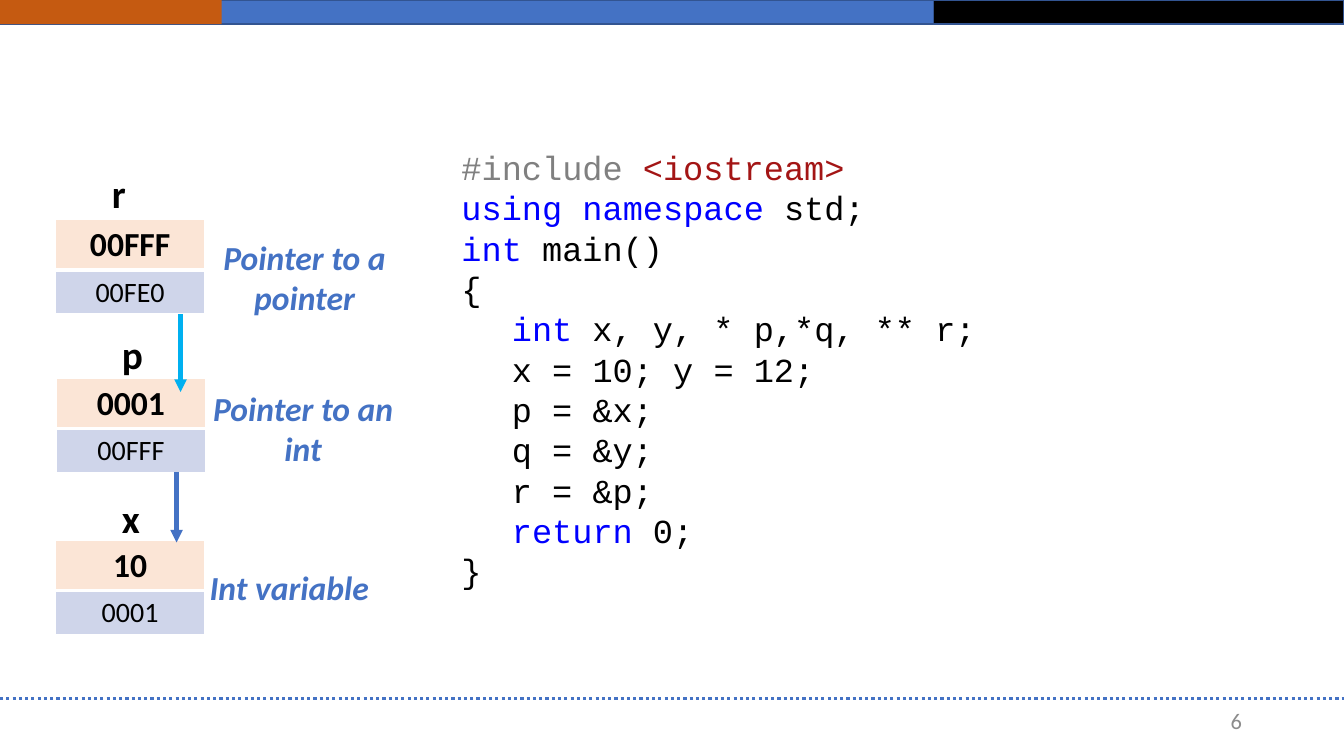
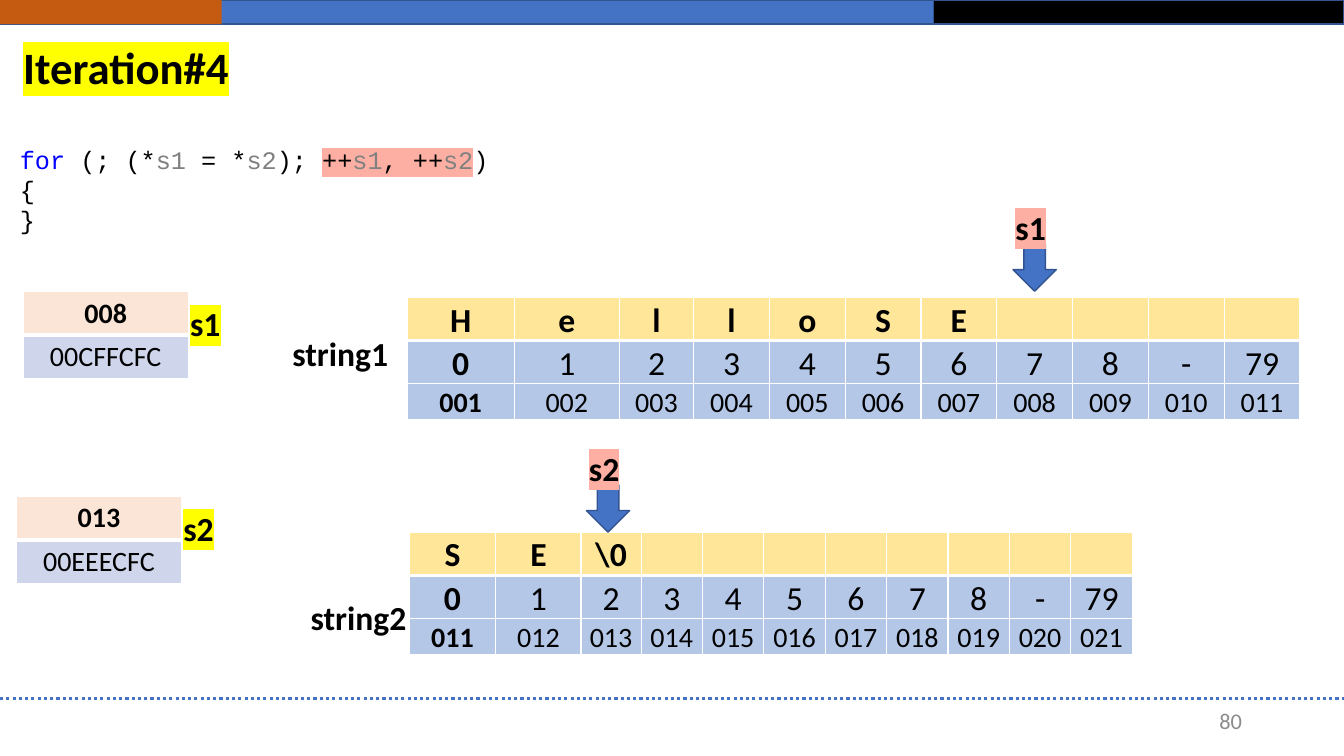
from lxml import etree
from pptx import Presentation
from pptx.dml.color import RGBColor
from pptx.enum.dml import MSO_LINE
from pptx.enum.shapes import MSO_CONNECTOR, MSO_SHAPE
from pptx.enum.text import MSO_ANCHOR, MSO_AUTO_SIZE, PP_ALIGN
from pptx.oxml.ns import qn
from pptx.util import Cm, Pt

LEFT, MID, RIGHT = PP_ALIGN.LEFT, PP_ALIGN.CENTER, PP_ALIGN.RIGHT
MIDDLE = MSO_ANCHOR.MIDDLE
FIXED = MSO_AUTO_SIZE.NONE
RECT, DOWN = MSO_SHAPE.RECTANGLE, MSO_SHAPE.DOWN_ARROW
LINE = MSO_CONNECTOR.STRAIGHT
DOTS = MSO_LINE.ROUND_DOT

BLUE, EDGE, ORANGE, SKY = "4472C4", "325491", "C55A11", "00B0F0"
BLACK, WHITE, GRAY = "000000", "FFFFFF", "8C8C8C"
PEACH, LILAC, GOLD, PALE = "FBE5D6", "CFD5EA", "FFE699", "B4C7E7"
YELLOW, PINK = "FFFF00", "FCAFA2"
KEY, NAME, PATH = "0000FF", "808080", "A31515"
SANS, MONO = "Calibri", "Courier New"
COLS = [2.7, 2.65, 1.87] + [1.91] * 8
INDEX = [*"012345678", "-", "79"]

MAIN_CODE = [
    (0, [("#include ", NAME), ("<iostream>", PATH)]),
    (0, [("using namespace", KEY), (" std;",)]),
    (0, [("int", KEY), (" main()",)]),
    (0, [("{",)]),
    (1, [("int", KEY), (" x, y, * p,*q, ** r;",)]),
    (1, [("x = 10; y = 12;",)]),
    (1, [("p = &x;",)]),
    (1, [("q = &y;",)]),
    (1, [("r = &p;",)]),
    (1, [("return", KEY), (" 0;",)]),
    (0, [("}",)]),
]
LOOP_CODE = [
    (0, [("for", KEY), (" (; (*",), ("s1", NAME), (" = *",), ("s2", NAME),
         ("); ",), ("++", BLACK, PINK), ("s1", NAME, PINK),
         (", ++", BLACK, PINK), ("s2", NAME, PINK), (")",)]),
    (0, [("{",)]),
    (0, [("}",)]),
]


def rgb(code):
    """Turn a hex string into a colour."""
    return RGBColor.from_string(code)


def paint(fill, code):
    """Make a fill solid."""
    fill.solid()
    fill.fore_color.rgb = rgb(code)


def add_ink(parent, tag, code):
    """Append a colour element to an XML parent."""
    node = etree.SubElement(parent, qn(tag))
    etree.SubElement(node, qn("a:srgbClr"), val=code)


def write(par, runs, size, color=BLACK, bold=False, italic=False,
          align=LEFT, face=SANS):
    """Fill a paragraph with runs of text, colour and highlight."""
    par.alignment = align
    font = par.font
    font.name, font.size, font.bold, font.italic = face, Pt(size), bold, italic
    font.color.rgb = rgb(color)
    for text, ink, mark in [(*run, None, None)[:3] for run in runs]:
        run = par.add_run()
        run.text = text
        if ink:
            run.font.color.rgb = rgb(ink)
        if mark:
            add_ink(run._r.get_or_add_rPr(), "a:highlight", mark)


def add_text(slide, box, text, size, mark=None, **style):
    """Add a one-paragraph text box and return its frame."""
    frame = slide.shapes.add_textbox(*map(Cm, box)).text_frame
    frame.word_wrap = True
    write(frame.paragraphs[0], [(text, None, mark)], size, **style)
    return frame


def add_code(slide, box, lines, size):
    """Add a code listing."""
    frame = slide.shapes.add_textbox(*map(Cm, box)).text_frame
    frame.word_wrap = True
    for num, (level, runs) in enumerate(lines):
        par = frame.add_paragraph() if num else frame.paragraphs[0]
        par.level = level
        write(par, runs, size, face=MONO)


def add_block(slide, kind, box, fill, edge=EDGE):
    """Add a filled preset shape."""
    shape = slide.shapes.add_shape(kind, *map(Cm, box))
    shape.shadow.inherit = False
    paint(shape.fill, fill)
    if edge:
        shape.line.color.rgb = rgb(edge)
        shape.line.width = Pt(1)
    else:
        shape.line.fill.background()
    return shape


def add_line(slide, ends, color, width):
    """Add a straight line without shadow."""
    line = slide.shapes.add_connector(LINE, *map(Cm, ends))
    line.line.color.rgb = rgb(color)
    line.line.width = Pt(width)
    etree.SubElement(line.element.spPr, qn("a:effectLst"))
    return line


def add_arrow(slide, x, top, end, color):
    """Add a downward arrow line."""
    line = add_line(slide, (x, top, x, end), color, 3)
    etree.SubElement(line.line._get_or_add_ln(), qn("a:tailEnd"),
                     type="triangle")


def set_edges(cell, head):
    """Draw white cell borders, thick under a head row."""
    sides = {"L": 1, "R": 1, "T": 1, "B": 3} if head else {
        "L": 1, "R": 1, "B": 1}
    props = cell._tc.get_or_add_tcPr()
    for side, width in sides.items():
        edge = etree.SubElement(props, qn("a:ln" + side), w=str(Pt(width)))
        add_ink(edge, "a:solidFill", WHITE)


def add_grid(slide, x, y, cols, rows):
    """Add a table from rows of texts, height, size, fill and bold count."""
    high = sum(row[1] for row in rows)
    table = slide.shapes.add_table(
        len(rows), len(cols), *map(Cm, (x, y, sum(cols), high))).table
    table.first_row = table.horz_banding = False
    for col, width in zip(table.columns, cols):
        col.width = Cm(width)
    for r, (texts, tall, size, fill, bolds) in enumerate(rows):
        table.rows[r].height = Cm(tall)
        for c, text in enumerate(texts):
            cell = table.cell(r, c)
            set_edges(cell, r == 0)
            paint(cell.fill, fill)
            if text:
                write(cell.text_frame.paragraphs[0], [(text,)], size,
                      bold=c < bolds, align=MID)
    return table


def add_cell(slide, x, y, width, value, place, size, tall):
    """Add a variable with its value above its address."""
    add_grid(slide, x, y, [width], [([value], tall, size, PEACH, 1),
                                    ([place], 1.1, 20, LILAC, 0)])


def add_string(slide, x, y, scale, chars, first):
    """Add a string as characters, indexes and addresses."""
    count = len(COLS)
    cells = chars + [""] * (count - len(chars))
    places = [f"{first + i:03}" for i in range(count)]
    table = add_grid(slide, x, y, [w * scale for w in COLS], [
        (cells, 1.09, 24, GOLD, count),
        (INDEX, 1.09, 24, PALE, 1),
        (places, 0.91, 20, PALE, 1)])
    for cell in table.iter_cells():
        cell.margin_left = cell.margin_right = Cm(0.18)
        cell.margin_top = cell.margin_bottom = 0
        cell.text_frame.paragraphs[0].line_spacing = 1.07


def add_tag(slide, x, y, text, mark):
    """Add a highlighted pointer name."""
    add_text(slide, (x, y, 2.57, 1.27), text, 24, mark, bold=True, align=MID)


def add_mark(slide, x, y, text):
    """Add a pointer name over a block arrow."""
    add_block(slide, DOWN, (x + 0.84, y + 1.07, 1.09, 1.19), BLUE)
    add_tag(slide, x, y, text, PINK)


def add_page(slide, num):
    """Add the page number."""
    frame = add_text(slide, (23.93, 17.65, 7.62, 1.02), num, 16,
                     color=GRAY, align=RIGHT)
    frame.vertical_anchor = MIDDLE


def dress(deck, slide):
    """Move the shared bands and footer rule to the master."""
    rule = add_line(slide, (0, 17.6, 33.87, 17.6), BLUE, 2.25)
    rule.line.dash_style = DOTS
    parts = [add_block(slide, RECT, (0, 0, 23.52, 0.61), BLUE),
             add_block(slide, RECT, (23.52, 0, 10.35, 0.61), BLACK),
             add_block(slide, RECT, (0, 0, 5.59, 0.61), ORANGE, None), rule]
    for part in parts:
        deck.slide_master.shapes.element.append(part.element)


def draw_chain(slide):
    """Draw the pointer chain and its program."""
    add_page(slide, "6")
    add_code(slide, (11.38, 3.58, 16.94, 11.53), MAIN_CODE, 24)
    for x, y, name in [(2.57, 4.14, "r"), (2.82, 8.2, "p"),
                       (2.82, 12.32, "x")]:
        add_text(slide, (x, y, 1.4, 1.45), name, 28, bold=True)
    for x, y, value, place in [(1.4, 5.54, "00FFF", "00FE0"),
                               (1.42, 9.53, "0001", "00FFF"),
                               (1.4, 13.61, "10", "0001")]:
        add_cell(slide, x, y, 3.76, value, place, 24, 1.26)
    add_arrow(slide, 4.45, 11.89, 13.67, BLUE)
    add_arrow(slide, 4.55, 7.92, 9.88, SKY)
    for box, note in [((4.45, 5.84, 6.45, 2.31), "Pointer to a pointer"),
                      ((4.72, 9.65, 5.84, 2.31), "Pointer to an int"),
                      ((4.37, 14.15, 5.84, 1.27), "Int variable")]:
        add_text(slide, box, note, 24, color=BLUE, bold=True, italic=True,
                 align=MID)


def draw_step(slide):
    """Draw one step of joining two strings."""
    title = slide.shapes.title
    title.left, title.top, title.width, title.height = map(
        Cm, (0.33, 0.86, 7.1, 1.63))
    title.text_frame.auto_size = FIXED
    write(title.text_frame.paragraphs[0], [("Iteration#4", None, YELLOW)],
          32, bold=True)
    add_page(slide, "80")
    add_code(slide, (0.25, 3.5, 20.6, 3.33), LOOP_CODE, 18)
    add_string(slide, 10.26, 7.49, 1, [*"HelloSE"], 1)
    add_string(slide, 10.31, 13.41, 0.81, ["S", "E", "\\0"], 11)
    for x, y, name in [(6.53, 7.75, "string1"), (6.99, 14.4, "string2")]:
        frame = add_text(slide, (x, y, 4.09, 1.63), name, 24, bold=True,
                         align=MID)
        frame.paragraphs[0].line_spacing = 1.5
    for x, y, value, place, name in [(0.58, 7.34, "008", "00CFFCFC", "s1"),
                                     (0.41, 12.5, "013", "00EEECFC", "s2")]:
        add_cell(slide, x, y, 4.17, value, place, 20, 1.1)
        add_tag(slide, x + 3.31, y + 0.17, name, YELLOW)
    add_mark(slide, 24.69, 5.08, "s1")
    add_mark(slide, 13.94, 11.15, "s2")


def main():
    """Build and save the deck."""
    deck = Presentation()
    deck.slide_width, deck.slide_height = Cm(33.87), Cm(19.05)
    chain = deck.slides.add_slide(deck.slide_layouts[6])
    dress(deck, chain)
    draw_chain(chain)
    draw_step(deck.slides.add_slide(deck.slide_layouts[5]))
    deck.save("out.pptx")


if __name__ == "__main__":
    main()
